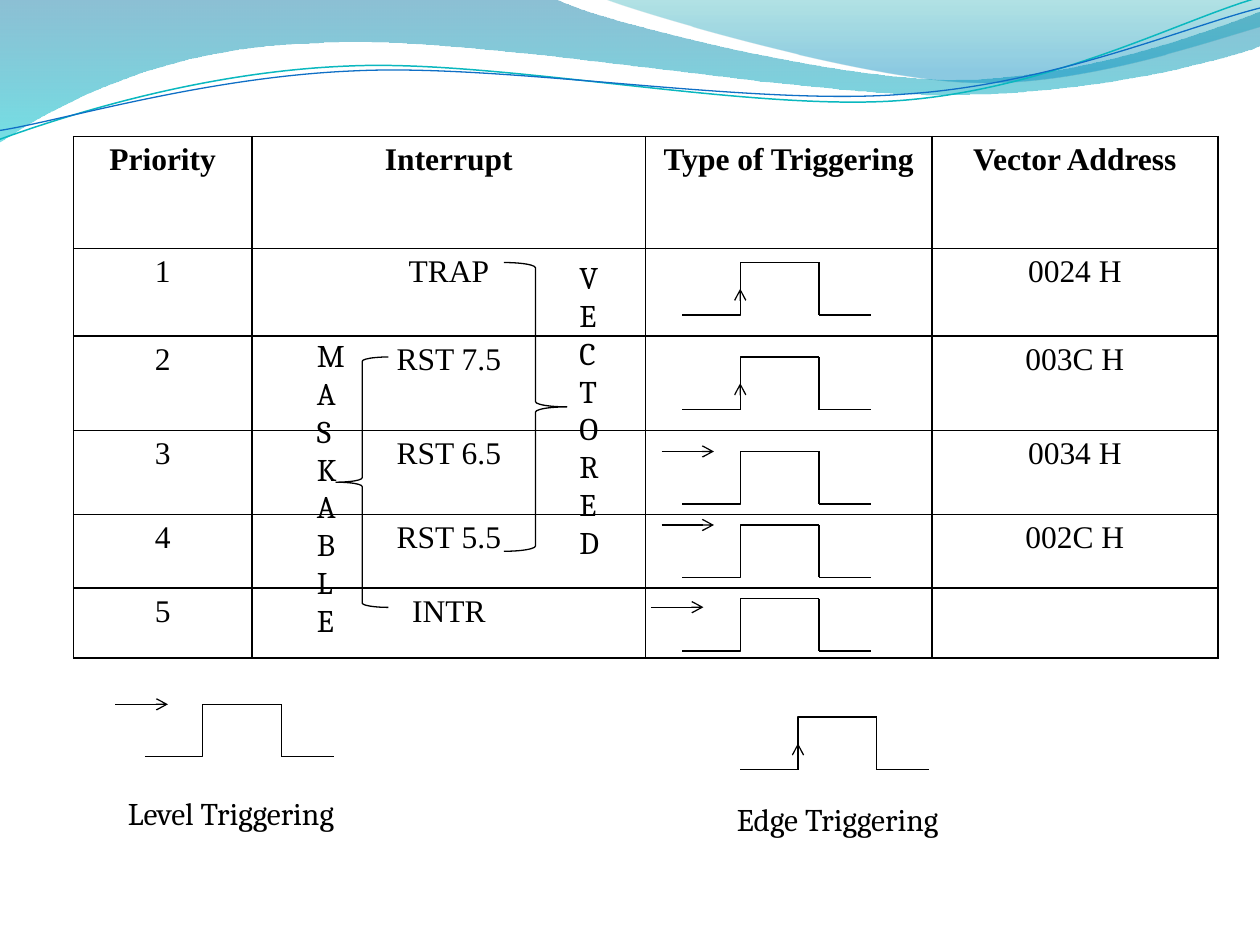
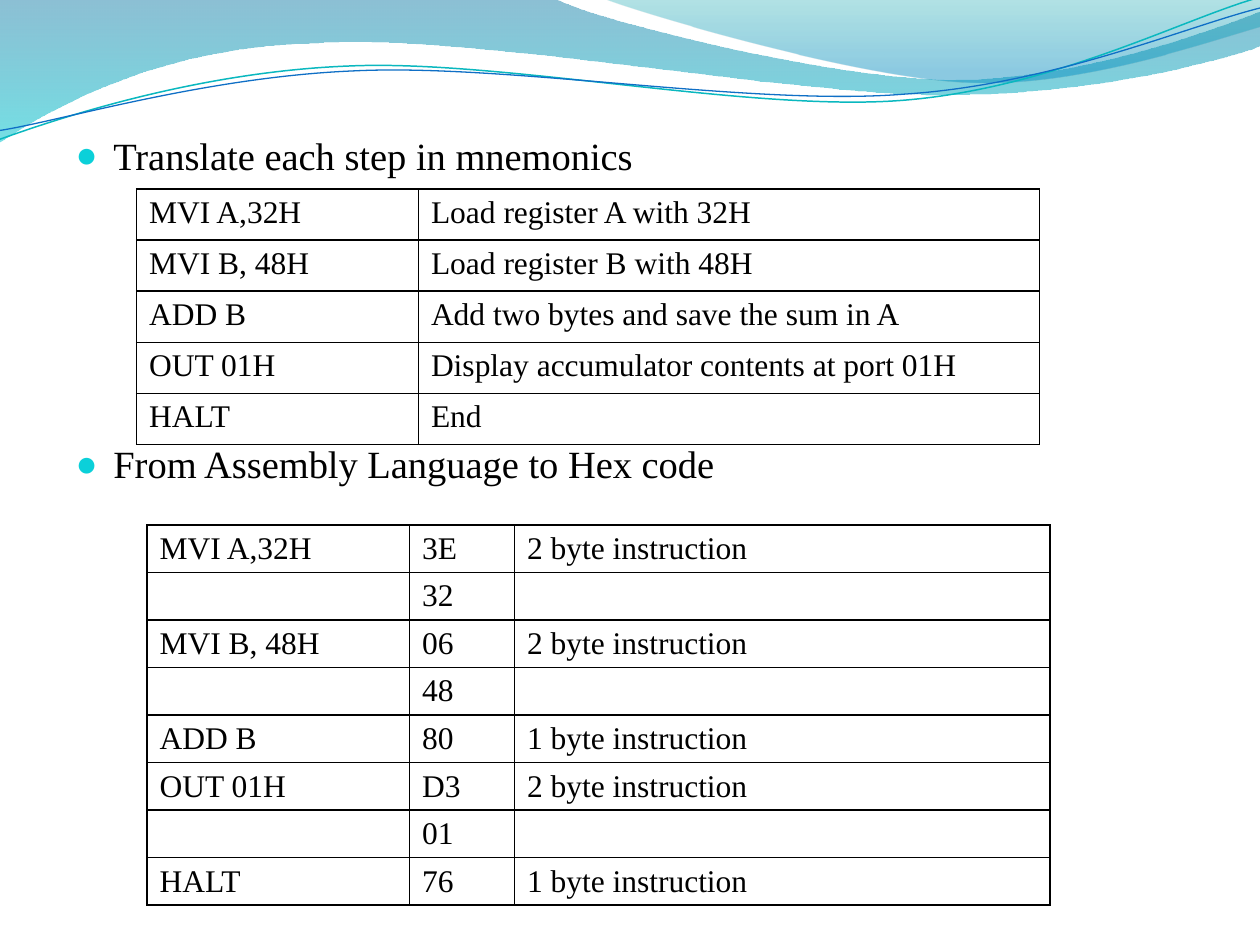
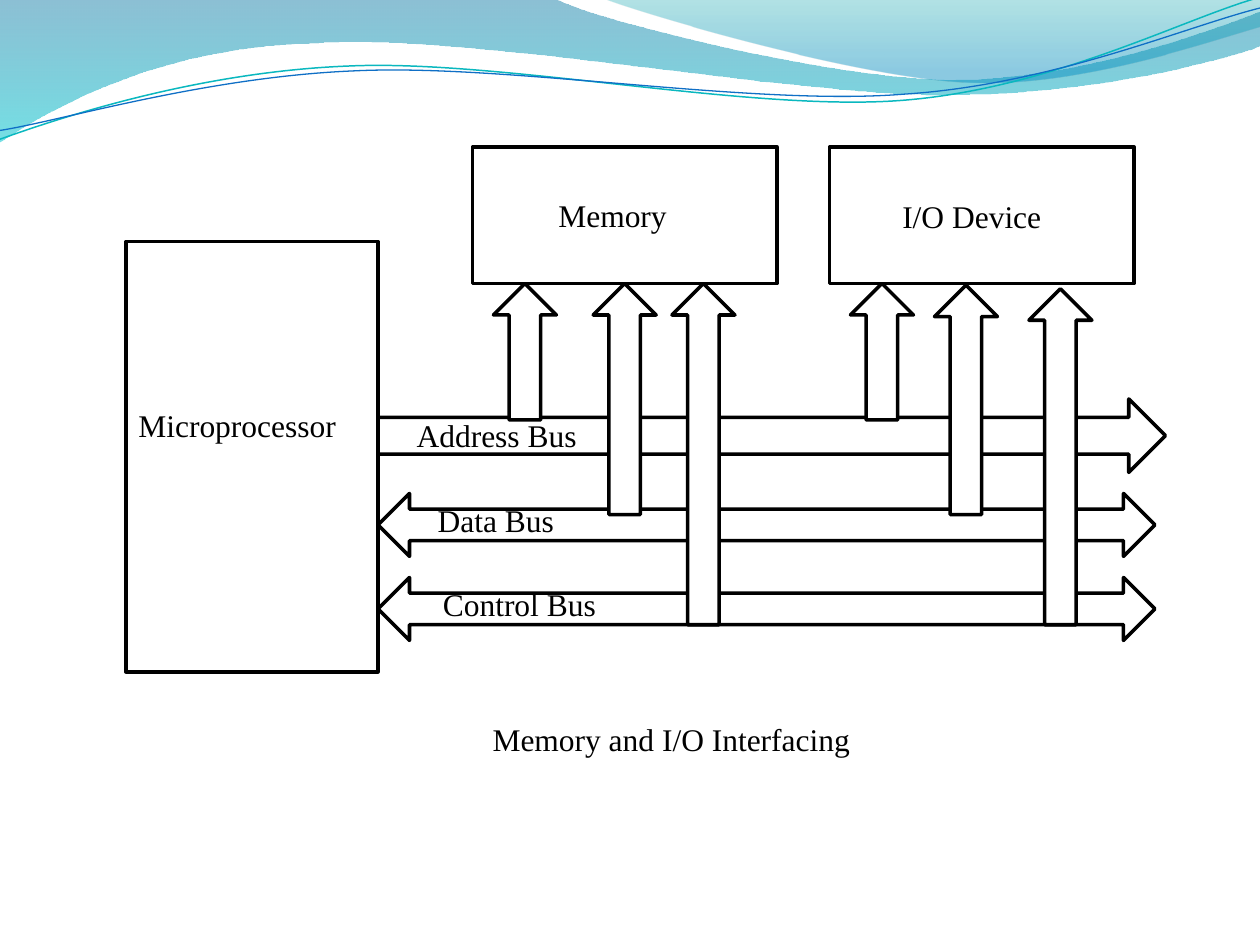
from itertools import product

from lxml import etree
from pptx import Presentation
from pptx.dml.color import RGBColor
from pptx.enum.shapes import MSO_CONNECTOR, MSO_SHAPE
from pptx.enum.text import MSO_AUTO_SIZE, PP_ALIGN
from pptx.oxml.ns import qn
from pptx.util import Inches, Pt

STRAIGHT, ELBOW = MSO_CONNECTOR.STRAIGHT, MSO_CONNECTOR.ELBOW
RECT, UP_ARROW = MSO_SHAPE.RECTANGLE, MSO_SHAPE.UP_ARROW
RIGHT_ARROW, BOTH_ARROW = MSO_SHAPE.RIGHT_ARROW, MSO_SHAPE.LEFT_RIGHT_ARROW
LEFT_BRACE, RIGHT_BRACE = MSO_SHAPE.LEFT_BRACE, MSO_SHAPE.RIGHT_BRACE
LEFT, CENTER, NO_FIT = PP_ALIGN.LEFT, PP_ALIGN.CENTER, MSO_AUTO_SIZE.NONE

WIDTH, HEIGHT = Inches(10), Inches(7.5)
COLUMNS = 120
CONTENT_LAYOUT, BLANK_LAYOUT = 1, 6
SERIF, SLAB = "Times New Roman", "Cambria"
COLORS = {
    "ink": "000000",
    "paper": "FFFFFF",
    "bullet": "0BD0D9",
    "deep": "0074A1",
    "aqua": "00C6CF",
    "teal": "00A1A9",
    "sky": "008BBF",
    "teal_line": "0AB8BF",
    "blue_line": "0F6FC6",
}

RIPPLE_TILT = 357.3
BANDS = [
    ([(0, 0), (4.4, -0.01), (4.76, 0.17, 6.64, 0.63, 7.58, 0.63),
      (8.53, 0.63, 9.58, 0.26, 10, 0.09), (10.01, 0.36),
      (9.83, 0.44, 8.7, 0.76, 7.46, 0.75), (6.22, 0.75, 3.82, 0.28, 2.57, 0.34),
      (1.29, 0.36, 0.46, 0.83, -0.01, 1.13)],
     [("deep", 0, 45), ("aqua", 1, 55)]),
    ([(4.79, -0.01), (5.09, 0.11, 6.82, 0.62, 7.69, 0.65),
      (8.56, 0.69, 9.61, 0.32, 10, 0.21), (10, 0)],
     [("teal", 0, 30), ("sky", 0.8, 45)]),
]
RIPPLES = [
    ([(-0.02, 0.87), (0.47, 0.72, 1.58, 0.41, 2.77, 0.42),
      (3.96, 0.42, 5.91, 0.93, 7.12, 0.9), (8.32, 0.87, 9.4, 0.36, 10, 0.22)],
     "teal_line", 0.85),
    ([(-0.02, 0.8), (0.46, 0.75, 1.64, 0.45, 2.83, 0.46),
      (4.03, 0.46, 5.96, 0.89, 7.16, 0.85), (8.35, 0.83, 9.42, 0.42, 10.02, 0.3)],
     "blue_line", 0.75),
]


def grid(*cells):
    return [round(WIDTH * c / COLUMNS) for c in cells]


def color(name):
    return RGBColor.from_string(COLORS[name])


def write(tf, lines, font=SERIF, size=18, bold=False, align=LEFT):
    for i, line in enumerate(lines):
        p = tf.paragraphs[0] if i == 0 else tf.add_paragraph()
        p.alignment = align
        r = p.add_run()
        r.text = line
        r.font.name, r.font.size, r.font.bold = font, Pt(size), bold
        r.font.color.rgb = color("ink")


class Deck:
    def __init__(self):
        self.prs = Presentation()
        self.prs.slide_width, self.prs.slide_height = WIDTH, HEIGHT
        self.s = None

    def slide(self, layout=BLANK_LAYOUT):
        self.s = self.prs.slides.add_slide(self.prs.slide_layouts[layout])

    def outline(self, segments, closed):
        points = [(round(WIDTH * x / 10), round(WIDTH * y / 10))
                  for seg in segments for x, y in zip(seg[::2], seg[1::2])]
        builder = self.s.shapes.build_freeform(*points[0])
        builder.add_line_segments(points[1:], close=closed)
        sp = builder.convert_to_shape()
        sp.shadow.inherit = False
        steps = iter(list(sp.element.iter(qn("a:lnTo"))))
        for seg in segments[1:]:
            first, *rest = [next(steps) for _ in range(len(seg) // 2)]
            if rest:
                curve = etree.Element(qn("a:cubicBezTo"))
                first.addprevious(curve)
                for step in (first, *rest):
                    curve.append(step[0])
                    step.getparent().remove(step)
        return sp

    def band(self, segments, stops):
        sp = self.outline(segments, True)
        sp.line.fill.background()
        sp.fill.gradient()
        sp.fill.gradient_angle = 270
        for stop, (name, position, _) in zip(sp.fill.gradient_stops, stops):
            stop.color.rgb, stop.position = color(name), position
        for clr, (_, _, opacity) in zip(sp.element.spPr.iter(qn("a:srgbClr")), stops):
            etree.SubElement(clr, qn("a:alpha"), val=str(opacity * 1000))
        return sp

    def ripple(self, segments, name, weight):
        sp = self.outline(segments, False)
        sp.rotation = RIPPLE_TILT
        sp.fill.background()
        sp.line.color.rgb, sp.line.width = color(name), Pt(weight)
        return sp

    def master_waves(self):
        waves = [self.band(*b) for b in BANDS] + [self.ripple(*r) for r in RIPPLES]
        tree = self.prs.slide_master.shapes.element
        for i, sp in enumerate(waves):
            sp.element.nvSpPr.cNvPr.id = 100 + i
            tree.insert(2 + i, sp.element)

    def shape(self, kind, x, y, w, h, fill="paper", weight=2):
        sp = self.s.shapes.add_shape(kind, *grid(x, y, w, h))
        sp.shadow.inherit = False
        if fill:
            sp.fill.solid()
            sp.fill.fore_color.rgb = color(fill)
        else:
            sp.fill.background()
        sp.line.color.rgb, sp.line.width = color("ink"), Pt(weight)

    def text(self, lines, x, y, w, h=4.8, **fmt):
        tf = self.s.shapes.add_textbox(*grid(x, y, w, h)).text_frame
        tf.word_wrap = True
        write(tf, lines, **fmt)

    def connector(self, x1, y1, x2, y2, kind=STRAIGHT, arrow=False, parent=None):
        c = (parent or self.s).shapes.add_connector(kind, *grid(x1, y1, x2, y2))
        c.line.color.rgb, c.line.width = color("ink"), Pt(0.75)
        if arrow:
            etree.SubElement(c.line._get_or_add_ln(), qn("a:tailEnd"), type="arrow")
        etree.SubElement(c.element.spPr, qn("a:effectLst"))

    def pulse(self, x, y, edge=False):
        group = self.s.shapes.add_group_shape()
        self.connector(x, y + 5, x + 11, y, kind=ELBOW, parent=group)
        corners = [(x + 11, y), (x + 13, y), (x + 13, y + 5), (x + 18, y + 5)]
        for start, end in zip(corners, corners[1:]):
            self.connector(*start, *end, parent=group)
        if edge:
            self.connector(x + 5.5, y + 5, x + 5.5, y + 2.5, arrow=True, parent=group)

    def level_arrow(self, x, y):
        self.connector(x, y, x + 5, y, arrow=True)

    def table(self, rows, x, y, widths, heights, align=LEFT, header=False):
        frame = self.s.shapes.add_table(
            len(rows), len(widths), *grid(x, y, sum(widths), sum(heights)))
        table = frame.table
        table.first_row = table.horz_banding = False
        for column, w in zip(table.columns, grid(*widths)):
            column.width = w
        for row, h in zip(table.rows, grid(*heights)):
            row.height = h
        for i, j in product(range(len(rows)), range(len(widths))):
            cell = table.cell(i, j)
            self.border(cell)
            cell.fill.background()
            if rows[i][j]:
                write(cell.text_frame, [rows[i][j]], bold=header and i == 0, align=align)
            else:
                p = cell.text_frame.paragraphs[0]
                end = etree.SubElement(p._p, qn("a:endParaRPr"), sz="1800")
                etree.SubElement(end, qn("a:latin"), typeface=SERIF)

    def border(self, cell):
        tc_pr = cell._tc.get_or_add_tcPr()
        for side in ("lnL", "lnR", "lnT", "lnB"):
            ln = etree.SubElement(tc_pr, qn(f"a:{side}"), w=str(Pt(1)))
            fill = etree.SubElement(ln, qn("a:solidFill"))
            etree.SubElement(fill, qn("a:srgbClr"), val=COLORS["ink"])

    def bullets(self, lines, x, y, w, h, gap):
        title, body = self.s.placeholders
        title.element.getparent().remove(title.element)
        body.left, body.top, body.width, body.height = grid(x, y, w, h)
        tf = body.text_frame
        tf.auto_size = NO_FIT
        write(tf, lines, size=22)
        for i, p in enumerate(tf.paragraphs):
            p.space_before = Pt(gap if i else 0)
            p_pr = p._p.get_or_add_pPr()
            p_pr.set("marL", str(Inches(0.3)))
            p_pr.set("indent", str(-Inches(0.3)))
            clr = etree.SubElement(p_pr, qn("a:buClr"))
            etree.SubElement(clr, qn("a:srgbClr"), val=COLORS["bullet"])
            etree.SubElement(p_pr, qn("a:buSzPct"), val="95000")
            etree.SubElement(p_pr, qn("a:buChar"), char="●")


def interrupts(deck):
    deck.slide()
    deck.master_waves()
    rows = [
        ("Priority", "Interrupt", "Type of Triggering", "Vector Address"),
        ("1", "TRAP", "", "0024 H"),
        ("2", "RST 7.5", "", "003C H"),
        ("3", "RST 6.5", "", "0034 H"),
        ("4", "RST 5.5", "", "002C H"),
        ("5", "INTR", "", ""),
    ]
    deck.table(rows, 7, 13, [17, 37.5, 27.25, 27.25],
               [10.67, 8.33, 9, 8, 7, 6.67], align=CENTER, header=True)
    for y, edge in ((57, False), (50, False), (43, False), (25, True), (34, True)):
        deck.pulse(65, y, edge)
    for x, y in ((63, 43), (63, 50), (62, 57.83)):
        deck.level_arrow(x, y)
    deck.shape(LEFT_BRACE, 32, 34, 5, 23.85, fill=None, weight=0.75)
    deck.shape(RIGHT_BRACE, 48, 25, 6, 27.5, fill=None, weight=0.75)
    deck.text("VECTORED", 54, 24, 5, 30.25, font=SLAB)
    deck.text("MASKABLE", 29, 31.43, 6, 30.25, font=SLAB)
    deck.pulse(70.5, 68.3, edge=True)
    deck.text(["Level Triggering"], 11, 75, 30, font=SLAB)
    deck.pulse(13.8, 67.08)
    deck.level_arrow(11, 67.08)
    deck.text(["Edge Triggering"], 69, 75.6, 25, font=SLAB)


def assembly(deck):
    deck.slide(CONTENT_LAYOUT)
    deck.bullets(["Translate each step in mnemonics", "From Assembly Language to Hex code"],
                 6, 11.95, 108, 71, gap=150)
    mnemonics = [
        ("MVI A,32H", "Load register A with 32H"),
        ("MVI B, 48H", "Load register B with 48H"),
        ("ADD B", "Add two bytes and save the sum in A"),
        ("OUT 01H", "Display accumulator contents at port 01H"),
        ("HALT", "End"),
    ]
    deck.table(mnemonics, 13, 18, [26.85, 59.15], [4.87] * len(mnemonics))
    hex_code = [
        ("MVI A,32H", "3E", "2 byte instruction"),
        ("", "32", ""),
        ("MVI B, 48H", "06", "2 byte instruction"),
        ("", "48", ""),
        ("ADD B", "80", "1 byte instruction"),
        ("OUT 01H", "D3", "2 byte instruction"),
        ("", "01", ""),
        ("HALT", "76", "1 byte instruction"),
    ]
    deck.table(hex_code, 14, 50, [25, 10, 51], [4.3] * len(hex_code))


def interfacing(deck):
    deck.slide()
    for box in ((12, 23, 24, 41), (45, 14, 29, 13), (79, 14, 29, 13)):
        deck.shape(RECT, *box)
    deck.shape(RIGHT_ARROW, 36, 38, 75, 7)
    for y in (47, 55):
        deck.shape(BOTH_ARROW, 36, y, 74, 6)
    bus_ends = (40, 49, 59.5)
    links = [(47, 27), (56.5, 27), (64, 27), (81, 27), (89, 27.15), (98, 27.5)]
    for (x, top), bottom in zip(links, bus_ends * 2):
        deck.shape(UP_ARROW, x, top, 6, bottom - top)
    labels = [
        ("Microprocessor", 12, 38.07, 24),
        ("Memory", 52, 18.1, 24),
        ("I/O Device", 84.75, 18.17, 17.25),
        ("Address Bus", 38.5, 39.03, 24),
        ("Data Bus", 40.5, 47.13, 24),
        ("Control Bus", 41, 55.13, 24),
        ("Memory and I/O Interfacing", 45.73, 68, 46.3),
    ]
    for label, *place in labels:
        deck.text([label], *place)


def main():
    deck = Deck()
    interrupts(deck)
    assembly(deck)
    interfacing(deck)
    deck.prs.save("out.pptx")


if __name__ == "__main__":
    main()
